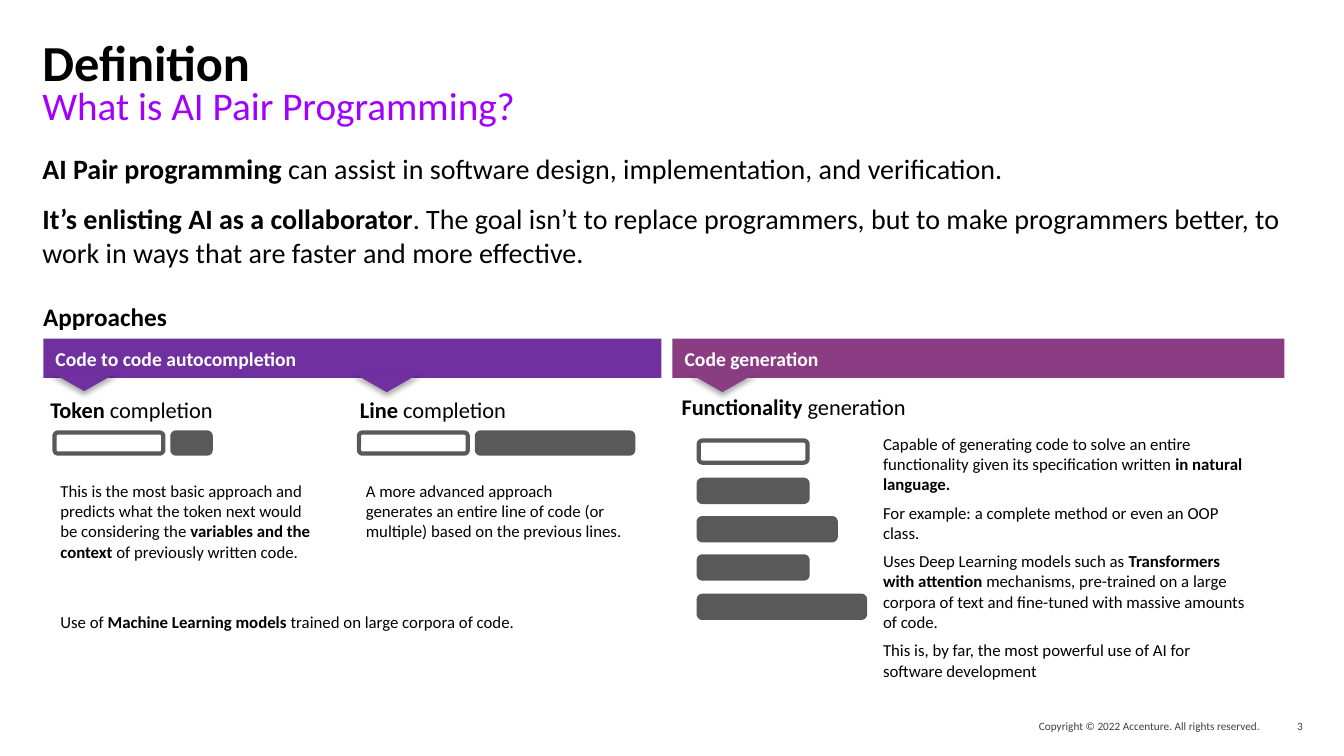
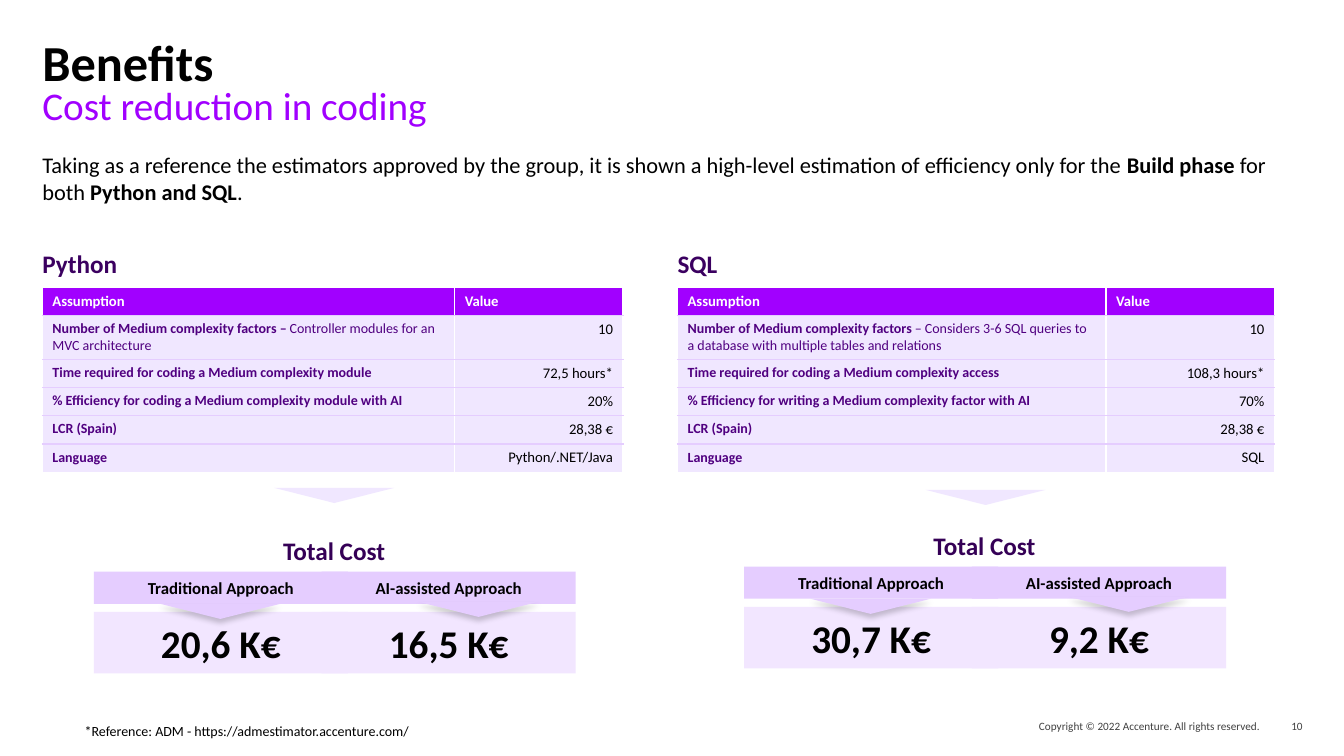
from dataclasses import dataclass, replace

from lxml import etree
from pptx import Presentation
from pptx import util as u
from pptx.dml.color import RGBColor
from pptx.enum import shapes, text
from pptx.oxml import ns, parse_xml

PX = 9144  # 100 px to the inch
FONT = "Calibri"

BLACK = RGBColor(0x00, 0x00, 0x00)
WHITE = RGBColor(0xFF, 0xFF, 0xFF)
FOOTER_GREY = RGBColor(0x40, 0x40, 0x40)
CODE_GREY = RGBColor(0x59, 0x59, 0x59)
VIOLET = RGBColor(0xA1, 0x00, 0xFF)
PURPLE = RGBColor(0x70, 0x30, 0xA0)
PLUM = RGBColor(0x8A, 0x3D, 0x82)
LABEL_PURPLE = RGBColor(0x50, 0x00, 0x80)
HEADING_PURPLE = RGBColor(0x3B, 0x00, 0x60)
TOTAL_PURPLE = RGBColor(0x35, 0x00, 0x56)
LILAC = RGBColor(0xE5, 0xCD, 0xFF)
PALE_CELL = RGBColor(0xF0, 0xE7, 0xFF)
PALE_COST = RGBColor(0xF2, 0xE6, 0xFF)

LEFT, CENTER, RIGHT = text.PP_ALIGN.LEFT, text.PP_ALIGN.CENTER, text.PP_ALIGN.RIGHT
TOP, MIDDLE = text.MSO_ANCHOR.TOP, text.MSO_ANCHOR.MIDDLE
KIND = shapes.MSO_SHAPE


@dataclass(frozen=True)
class Box:
    x: int
    y: int
    w: int
    h: int

    def emu(self) -> list[int]:
        return [v * PX for v in (self.x, self.y, self.w, self.h)]


@dataclass(frozen=True)
class Style:
    size: float
    color: RGBColor = BLACK
    bold: bool = False
    align: int = LEFT
    anchor: int = TOP
    after: int = 0
    inset: tuple[int, int] = (0, 0)


@dataclass(frozen=True)
class Approach:
    banner: Box
    color: RGBColor
    title: str
    arrows: tuple[tuple[int, int], ...]


@dataclass(frozen=True)
class Estimate:
    heading: str
    x: int
    columns: tuple[int, int]
    rows: tuple[tuple[str, str], ...]
    arrow: tuple[int, int]
    cost_at: tuple[int, int]
    costs: tuple[str, str]


FOOTER = Style(8, FOOTER_GREY, align=RIGHT, anchor=MIDDLE)
LEAD = Style(20, after=12)
KIND_LABEL = Style(16)
NOTE = Style(12, inset=(10, 10))
BANNER = Style(14, WHITE, bold=True, inset=(12, 8))
HEADING = Style(18, HEADING_PURPLE, bold=True)
COST_LABEL = Style(12, bold=True, align=CENTER, anchor=MIDDLE)
HEADER_CELL = Style(10.5, WHITE, bold=True)
LABEL_CELL = Style(10, LABEL_PURPLE)
VALUE_CELL = Style(10.5, align=RIGHT)


# Text: ** switches bold on and off

def assign(obj, **values) -> None:
    for name, value in values.items():
        setattr(obj, name, value)


def add_run(p, words: str, size: float, color: RGBColor, bold: bool) -> None:
    r = p.add_run()
    r.text = words
    assign(r.font, name=FONT, size=u.Pt(size), bold=bold)
    r.font.color.rgb = color


def write(tf, paragraphs: tuple[str, ...], style: Style) -> None:
    for i, line in enumerate(paragraphs):
        p = tf.add_paragraph() if i else tf.paragraphs[0]
        assign(p, alignment=style.align, space_after=u.Pt(style.after))
        for j, words in enumerate(line.split("**")):
            if words:
                add_run(p, words, style.size, style.color, style.bold or j % 2 == 1)


def set_frame(tf, style: Style) -> None:
    dx, dy = (v * PX for v in style.inset)
    assign(tf, word_wrap=True, vertical_anchor=style.anchor, margin_left=dx,
           margin_right=dx, margin_top=dy, margin_bottom=dy)


def add_text(s, box: Box, style: Style, *paragraphs: str):
    tf = s.shapes.add_textbox(*box.emu()).text_frame
    set_frame(tf, style)
    write(tf, paragraphs, style)
    return tf


# Shapes

def add_shape(s, kind: int, box: Box, fill: RGBColor | None,
              line: RGBColor | None = None):
    sp = s.shapes.add_shape(kind, *box.emu())
    sp.shadow.inherit = False
    if fill is None:
        sp.fill.background()
    else:
        sp.fill.solid()
        sp.fill.fore_color.rgb = fill
    if line is None:
        sp.line.fill.background()
    else:
        sp.line.color.rgb = line
        sp.line.width = u.Pt(3)
    return sp


def add_label(s, box: Box, fill: RGBColor, style: Style, words: str) -> None:
    tf = add_shape(s, KIND.RECTANGLE, box, fill).text_frame
    set_frame(tf, style)
    write(tf, (words,), style)


def add_arrow(s, box: Box, fill: RGBColor, shadow: int = 0) -> None:
    """Triangle pointing down; shadow is its opacity in percent."""
    sp = add_shape(s, KIND.ISOSCELES_TRIANGLE, box, fill)
    sp.rotation = 180
    if shadow:
        effects = sp._element.spPr.find(ns.qn("a:effectLst"))
        effects.append(parse_xml(
            f'<a:outerShdw {ns.nsdecls("a")} blurRad="{u.Pt(4)}" dist="{u.Pt(3)}" '
            'dir="5400000" algn="t" rotWithShape="0"><a:srgbClr val="000000">'
            f'<a:alpha val="{shadow * 1000}"/></a:srgbClr></a:outerShdw>'))


def add_code_bar(s, box: Box, filled: bool) -> None:
    add_shape(s, KIND.ROUNDED_RECTANGLE, box, CODE_GREY if filled else None, CODE_GREY)


# Table

def set_borders(cell, top: RGBColor, bottom: RGBColor) -> None:
    tc_pr = cell._tc.get_or_add_tcPr()
    for side, color in (("L", WHITE), ("R", WHITE), ("T", top), ("B", bottom)):
        ln = etree.SubElement(tc_pr, ns.qn(f"a:ln{side}"), w=str(u.Pt(1)))
        fill = etree.SubElement(ln, ns.qn("a:solidFill"))
        etree.SubElement(fill, ns.qn("a:srgbClr"), val=str(color))


def add_estimate_table(s, est: Estimate) -> None:
    rows = (("Assumption", "Value"),) + est.rows
    heights = [28, 43] + [28] * (len(rows) - 2)
    box = Box(est.x, 285, sum(est.columns), sum(heights))
    table = s.shapes.add_table(len(rows), 2, *box.emu()).table
    for column, width in zip(table.columns, est.columns):
        column.width = width * PX
    for i, (row, height) in enumerate(zip(rows, heights)):
        table.rows[i].height = height * PX
        styles = (LABEL_CELL, VALUE_CELL) if i else (HEADER_CELL, HEADER_CELL)
        for j, (words, style) in enumerate(zip(row, styles)):
            cell = table.cell(i, j)
            set_borders(cell, LILAC if i else WHITE,
                        LILAC if i < len(rows) - 1 else WHITE)
            cell.fill.solid()
            cell.fill.fore_color.rgb = PALE_CELL if i else VIOLET
            write(cell.text_frame, (words,), style)


# Shared slide frame

def add_slide(prs, number: int, title: str, subtitle: str):
    s = prs.slides.add_slide(prs.slide_layouts[6])
    add_text(s, Box(910, 709, 340, 22), FOOTER,
             "Copyright © 2022 Accenture. All rights reserved.")
    add_text(s, Box(1250, 709, 42, 23), FOOTER, str(number))
    p = add_text(s, Box(42, 42, 1250, 91), Style(36)).paragraphs[0]
    p.line_spacing = 0.8
    add_run(p, title, 36, BLACK, True)
    p.add_line_break()
    add_run(p, subtitle, 28, VIOLET, False)
    return s


# Definition slide

APPROACHES = (
    Approach(Box(43, 336, 613, 39), PURPLE, "Code to code autocompletion",
             ((50, 369), (350, 370))),
    Approach(Box(667, 336, 607, 39), PLUM, "Code generation", ((683, 370),)),
)
COMPLETIONS = ((54, (108, 38)), (356, (108, 155)))
GENERATED_WIDTHS = (108, 108, 136, 108, 165)


def build_definition(prs) -> None:
    s = add_slide(prs, 3, "Definition", "What is AI Pair Programming?")
    add_text(s, Box(42, 150, 1250, 120), LEAD,
             "**AI Pair programming **can assist in software design, implementation, "
             "and verification.",
             "**It’s enlisting AI as a collaborator**. The goal isn’t to replace "
             "programmers, but to make programmers better, to work in ways that are "
             "faster and more effective.")
    add_text(s, Box(33, 294, 1099, 40), Style(18, bold=True, inset=(10, 5)), "Approaches")

    for approach in APPROACHES:
        add_label(s, approach.banner, approach.color, BANNER, approach.title)
        for x, y in approach.arrows:
            add_arrow(s, Box(x, y, 67, 19), approach.color, shadow=33)

    # Code bars: outlined input, filled completion
    for x, widths in COMPLETIONS:
        for i, width in enumerate(widths):
            add_code_bar(s, Box(x + i * 117, 429, width, 21), i > 0)
    for i, width in enumerate(GENERATED_WIDTHS):
        add_code_bar(s, Box(693, round(437 + i * 38.5), width, 22), i > 0)

    for x, y, label in ((50, 393, "**Token** completion"),
                        (357, 393, "**Line** completion"),
                        (676, 390, "**Functionality** generation")):
        add_text(s, Box(x, y, 317, 33), KIND_LABEL, label)

    add_text(s, Box(50, 467, 275, 120), NOTE,
             "This is the most basic approach and predicts what the token next would be "
             "considering the **variables and the context** of previously written code.")
    add_text(s, Box(353, 467, 275, 120), NOTE,
             "A more advanced approach generates an entire line of code (or multiple) "
             "based on the previous lines.")
    add_text(s, Box(50, 602, 629, 30), replace(NOTE, inset=(10, 5)),
             "Use of **Machine Learning models **trained on large corpora of code.")
    add_text(s, Box(866, 420, 384, 280), replace(NOTE, after=6),
             "Capable of generating code to solve an entire functionality given its "
             "specification written **in natural language.**",
             "For example: a complete method or even an OOP class.",
             "Uses Deep Learning models such as **Transformers with attention "
             "**mechanisms, pre-trained on a large corpora of text and fine-tuned with "
             "massive amounts of code.",
             "This is, by far, the most powerful use of AI for software development")


# Benefits slide

ESTIMATES = (
    Estimate("Python", 42, (409, 167), (
        ("**Number of Medium complexity factors – **Controller modules for an "
         "MVC architecture", "10"),
        ("**Time required for coding a Medium complexity module**", "72,5 hours*"),
        ("**% Efficiency for coding a Medium complexity module with AI**", "20%"),
        ("**LCR (Spain)**", "28,38 €"),
        ("**Language**", "Python/.NET/Java"),
    ), (272, 484), (93, 567), ("20,6 K€", "16,5 K€")),
    Estimate("SQL", 672, (425, 167), (
        ("**Number of Medium complexity factors **– Considers 3-6 SQL queries to "
         "a database with multiple tables and relations", "10"),
        ("**Time required for coding a Medium complexity access**", "108,3 hours*"),
        ("**% Efficiency for writing a Medium complexity factor with AI**", "70%"),
        ("**LCR (Spain)**", "28,38 €"),
        ("**Language**", "SQL"),
    ), (918, 486), (738, 562), ("30,7 K€", "9,2 K€")),
)


def add_cost_panel(s, est: Estimate) -> None:
    x, y = est.cost_at
    add_text(s, Box(x - 15, y - 36, 507, 32),
             Style(18, TOTAL_PURPLE, bold=True, align=CENTER), "Total Cost")
    labels = ("Traditional Approach", "AI-assisted Approach")
    for i, (label, cost) in enumerate(zip(labels, est.costs)):
        left = x + i * 226
        add_label(s, Box(left, y, 252, 32), LILAC, COST_LABEL, label)
        add_label(s, Box(left, y + 40, 252, 61), PALE_COST,
                  replace(COST_LABEL, size=28), cost)
    for dx, dy in ((66, 32), (322, 30)):
        add_arrow(s, Box(x + dx, y + dy, 119, 15), LILAC, shadow=20)


def build_benefits(prs) -> None:
    s = add_slide(prs, 10, "Benefits", "Cost reduction in coding")
    add_text(s, Box(42, 150, 1250, 64), Style(16),
             "Taking as a reference the estimators approved by the group, it is shown a "
             "high-level estimation of efficiency only for the **Build phase **for both "
             "**Python and SQL**.")
    for est in ESTIMATES:
        add_text(s, Box(est.x, 246, 552, 38), HEADING, est.heading)
        add_estimate_table(s, est)
        add_arrow(s, Box(*est.arrow, 119, 15), PALE_CELL)
        add_cost_panel(s, est)
    add_text(s, Box(84, 717, 646, 18), Style(10),
             "*Reference: ADM - https://admestimator.accenture.com/")


def main() -> None:
    prs = Presentation()
    assign(prs, slide_width=1333 * PX, slide_height=750 * PX)
    build_definition(prs)
    build_benefits(prs)
    prs.save("out.pptx")


if __name__ == "__main__":
    main()
